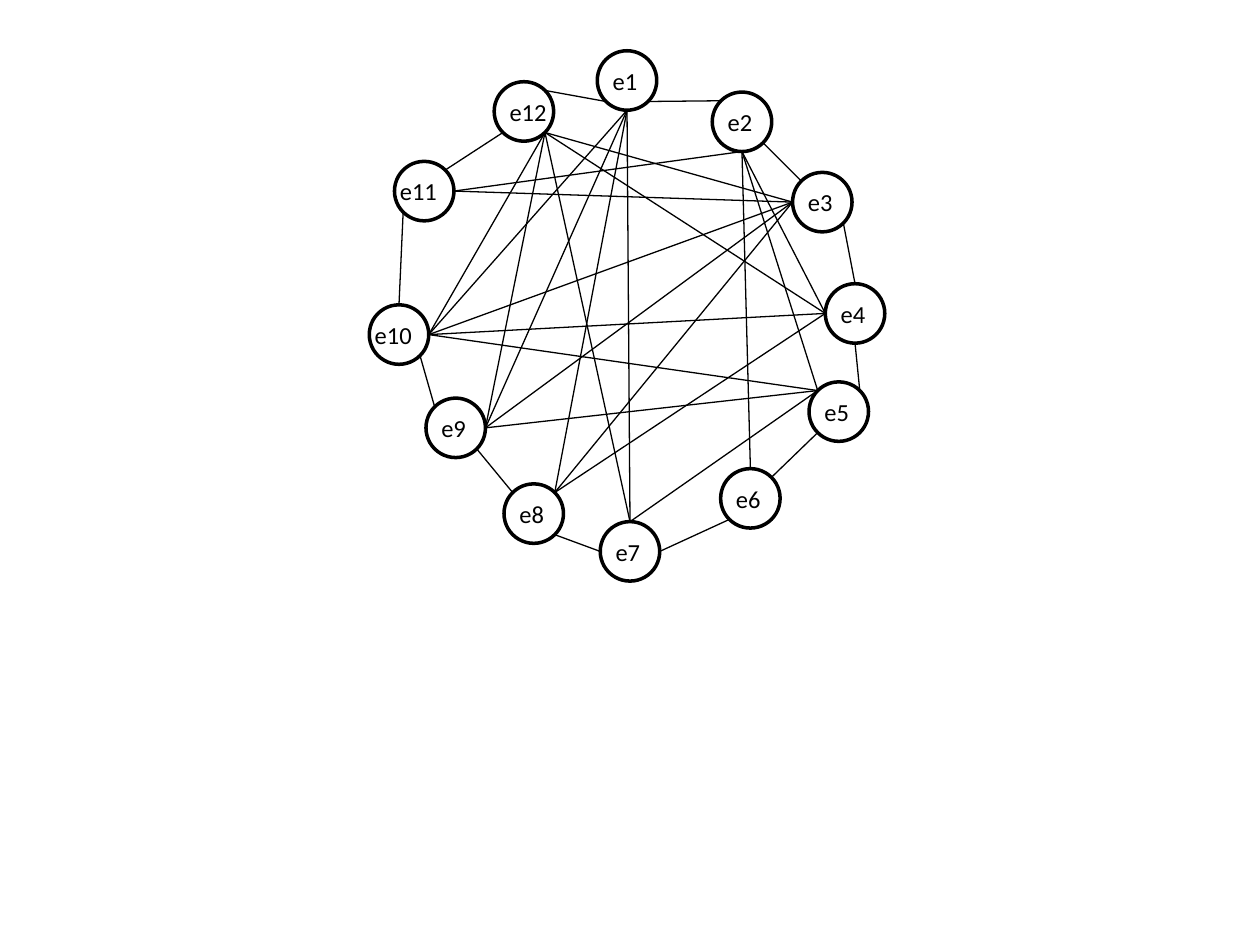
import math
import pptx
import pptx.util
import pptx.dml.color
import pptx.enum.shapes
import pptx.enum.text
import pptx.oxml.ns
import lxml.etree

Pt = pptx.util.Pt
BLACK = pptx.dml.color.RGBColor(0, 0, 0)

CENTERS = {
    1: (358.3, 46), 2: (424, 69.6), 3: (469.9, 115.5), 4: (488.6, 179.1),
    5: (479.3, 235.2), 6: (428.8, 284.8), 7: (360, 315.1), 8: (305, 293.5),
    9: (260.4, 244.5), 10: (228, 191.2), 11: (242.4, 109.2), 12: (299.4, 63.7),
}
RING_SITES = [
    ("SE", "NW"), ("SE", "NW"), ("SE", "N"), ("S", "NE"), ("SW", "NE"), ("SW", "E"),
    ("W", "SE"), ("NW", "SE"), ("NW", "SE"), ("N", "SW"), ("NE", "SW"), ("NE", "SW"),
]
HUB_SITES = {
    1: "S", 2: "S", 3: "W", 4: "W", 5: "NW", 6: "N",
    7: "N", 8: "NE", 9: "E", 10: "E", 11: "E", 12: "SE",
}
CHORDS = {
    1: (7, 8, 9, 10), 2: (4, 5, 6, 11), 3: (8, 9, 10, 11, 12),
    4: (8, 10, 12), 5: (7, 9, 10), 12: (7, 9, 10),
}
ANGLES = {site: turn * 45 for turn, site in enumerate(("E", "SE", "S", "SW", "W", "NW", "N", "NE"))}
RADIUS = 17
LABEL_HEIGHT = 24.2
LABEL_WIDTHS = {2: 30, 3: 38}
LABEL_SHIFTS = {10: -4, 11: -4}
LABEL_FRAME = {"word_wrap": False, "auto_size": pptx.enum.text.MSO_AUTO_SIZE.SHAPE_TO_FIT_TEXT}
LABEL_FONT = {"name": "Calibri", "size": Pt(14)}


def apply(target, values):
    for name, value in values.items():
        setattr(target, name, value)


def site_point(number, site):
    x, y = CENTERS[number]
    angle = math.radians(ANGLES[site])
    return Pt(x + RADIUS * math.cos(angle)), Pt(y + RADIUS * math.sin(angle))


def add_node(number):
    x, y = CENTERS[number]
    left, top = x - RADIUS, y - RADIUS
    text = f"e{number}"
    node = slide.shapes.add_group_shape()
    circle = node.shapes.add_shape(
        pptx.enum.shapes.MSO_SHAPE.OVAL, Pt(left), Pt(top), Pt(2 * RADIUS), Pt(2 * RADIUS))
    circle.shadow.inherit = False
    circle.fill.background()
    circle.line.color.rgb = BLACK
    circle.line.width = Pt(2)
    label = node.shapes.add_textbox(
        Pt(left + LABEL_SHIFTS.get(number, 1.7)), Pt(top + 5),
        Pt(LABEL_WIDTHS[len(text)]), Pt(LABEL_HEIGHT))
    apply(label.text_frame, LABEL_FRAME)
    run = label.text_frame.paragraphs[0].add_run()
    run.text = text
    apply(run.font, LABEL_FONT)
    run.font.color.rgb = BLACK


def add_edge(start, start_site, end, end_site):
    edge = slide.shapes.add_connector(
        pptx.enum.shapes.MSO_CONNECTOR.STRAIGHT,
        *site_point(start, start_site), *site_point(end, end_site))
    edge.line.color.rgb = BLACK
    edge.line.width = Pt(0.75)
    lxml.etree.SubElement(edge._element.spPr, pptx.oxml.ns.qn("a:effectLst"))


deck = pptx.Presentation()
apply(deck, {"slide_width": Pt(720), "slide_height": Pt(540)})
slide = deck.slides.add_slide(deck.slide_layouts[6])

for number in CENTERS:
    add_node(number)
for number, (start_site, end_site) in enumerate(RING_SITES, 1):
    add_edge(number, start_site, number % len(CENTERS) + 1, end_site)
for start, ends in CHORDS.items():
    for end in ends:
        add_edge(start, HUB_SITES[start], end, HUB_SITES[end])

deck.save("out.pptx")
